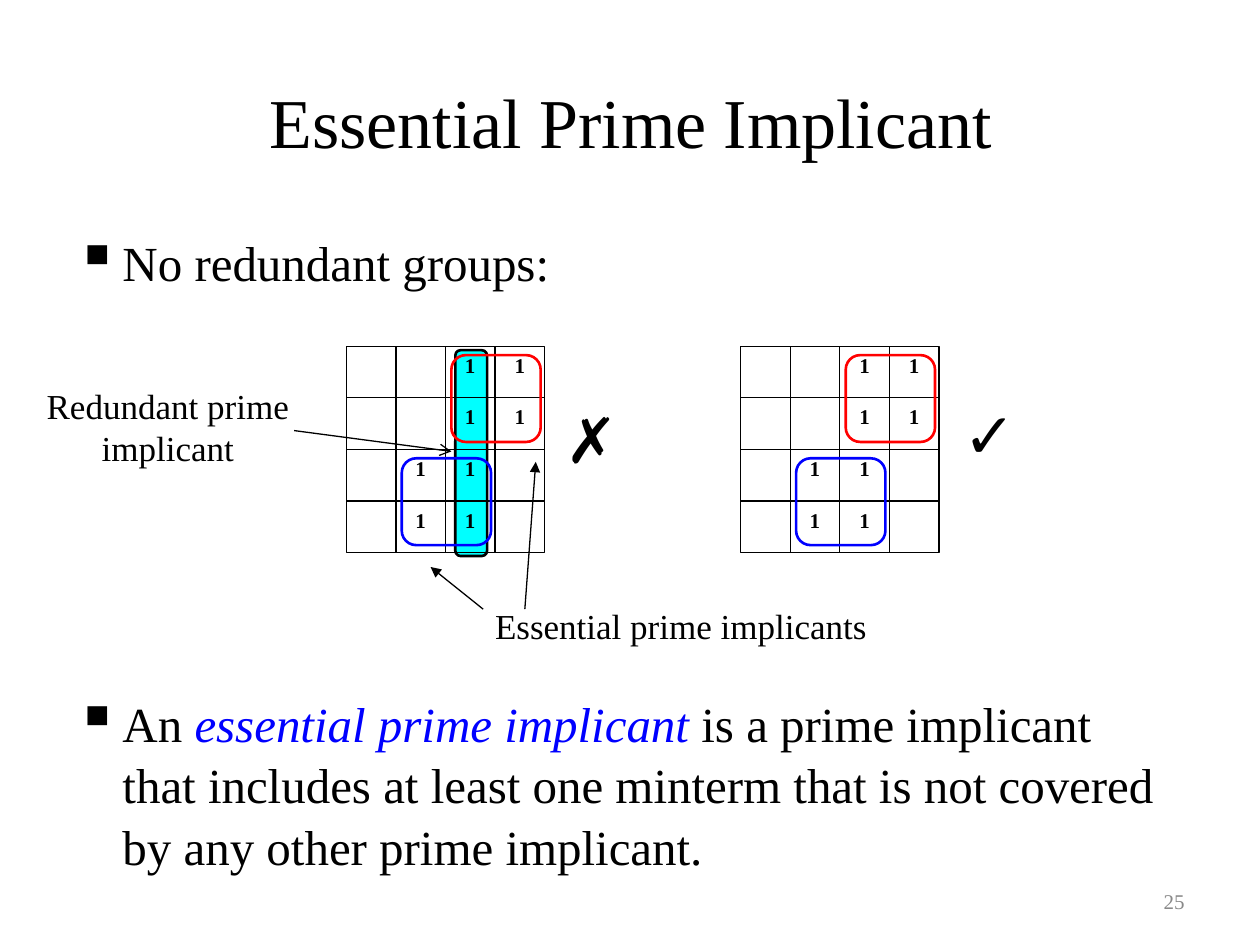
import pptx
from lxml import etree
from pptx.dml.color import RGBColor
from pptx.enum.shapes import MSO_CONNECTOR, MSO_SHAPE
from pptx.enum.text import MSO_ANCHOR, PP_ALIGN
from pptx.oxml.ns import qn
from pptx.util import Cm, Pt

BLACK = RGBColor(0, 0, 0)
BLUE = RGBColor(0, 0, 255)
RED = RGBColor(255, 0, 0)
CYAN = RGBColor(0, 255, 255)
GRAY = RGBColor(0x89, 0x89, 0x89)
SERIF = "Times New Roman"

# All lengths are in centimetres.
TITLE = "Essential Prime Implicant"
BULLETS = [  # space before in points, then (text, is key term) spans
    (0, [("No redundant groups:", False)]),
    (210, [("An ", False), ("essential prime implicant", True),
           (" is a prime implicant that includes at least one minterm "
            "that is not covered by any other prime implicant.", False)]),
]
KARNAUGH = ["0011", "0011", "0110", "0110"]
GROUPS = [(2, 0, RED), (1, 2, BLUE)]  # first column, first row, colour
MAPS = [  # left, mark, mark left, mark top, shows the redundant group
    (14.93, "✓", 19.18, 7.85, False),
    (6.98, "✗", 11.15, 7.95, True),
]
MAP_TOP, CELL_WIDTH, CELL_HEIGHT = 6.98, 1, 1.04
LABELS = [  # text, left, top, width, height, alignment
    ("Essential prime implicants", 9.73, 12.06, 9.32, 1.12, PP_ALIGN.LEFT),
    ("Redundant prime implicant", 0.42, 7.62, 5.93, 1.96, PP_ALIGN.CENTER),
]
ARROWS = [  # start x, start y, end x, end y, head
    (10.58, 12.28, 10.8, 9.31, "triangle"),
    (9.74, 12.28, 8.68, 11.43, "triangle"),
    (5.93, 8.68, 9.1, 9.1, "arrow"),
]


def place(shape, left, top, width, height):
    shape.left, shape.top = Cm(left), Cm(top)
    shape.width, shape.height = Cm(width), Cm(height)


def style(font, size, color=BLACK, name=SERIF):
    font.name, font.size, font.color.rgb = name, Pt(size), color


def add_text(shapes, text, area, size, align=PP_ALIGN.LEFT, color=BLACK,
             name=SERIF):
    box = shapes.add_textbox(*map(Cm, area))
    box.text_frame.word_wrap = True
    para = box.text_frame.paragraphs[0]
    para.text, para.alignment = text, align
    style(para.runs[0].font, size, color, name)
    return box


def add_outline(shapes, kind, area, color, weight, fill=None):
    shape = shapes.add_shape(kind, *map(Cm, area))
    shape.shadow.inherit = False
    if fill is None:
        shape.fill.background()
    else:
        shape.fill.solid()
        shape.fill.fore_color.rgb = fill
    shape.line.color.rgb, shape.line.width = color, Pt(weight)
    return shape


def add_line(shapes, start_x, start_y, end_x, end_y, head=None):
    line = shapes.add_connector(MSO_CONNECTOR.STRAIGHT, Cm(start_x),
                                Cm(start_y), Cm(end_x), Cm(end_y))
    line.line.color.rgb, line.line.width = BLACK, Pt(0.75)
    if head:
        etree.SubElement(line.line._get_or_add_ln(), qn("a:tailEnd"), type=head)
    etree.SubElement(line._element.spPr, qn("a:effectLst"))
    return line


def add_bullet(para):
    properties = para._p.get_or_add_pPr()
    properties.set("marL", str(Cm(0.95)))
    properties.set("indent", str(-Cm(0.95)))
    color = etree.SubElement(properties, qn("a:buClr"))
    etree.SubElement(color, qn("a:srgbClr"), val=str(BLACK))
    etree.SubElement(properties, qn("a:buSzPct"), val="120000")
    etree.SubElement(properties, qn("a:buChar"), char="▪")


def add_map(page, left, mark, mark_left, mark_top, redundant):
    shapes = page.shapes.add_group_shape().shapes
    count = len(KARNAUGH)
    width, height = count * CELL_WIDTH, count * CELL_HEIGHT
    if redundant:
        add_outline(shapes, MSO_SHAPE.ROUNDED_RECTANGLE,
                    (left + 2.2, MAP_TOP + 0.08, 0.64, 4.15), BLACK, 1.5, CYAN)
    frame = add_outline(shapes, MSO_SHAPE.RECTANGLE,
                        (left, MAP_TOP, width, height), BLACK, 0.75)
    for index in range(1, count):
        x, y = left + index * CELL_WIDTH, MAP_TOP + index * CELL_HEIGHT
        across = add_line(shapes, left, y, left + width, y)
        down = add_line(shapes, x, MAP_TOP, x, MAP_TOP + height)
        if index * 2 == count:
            across.begin_connect(frame, 1)
            across.end_connect(frame, 3)
            down.begin_connect(frame, 0)
            down.end_connect(frame, 2)
    for row, values in enumerate(KARNAUGH):
        for column, value in enumerate(values):
            if value == "1":
                area = (left + column * CELL_WIDTH, MAP_TOP + row * CELL_HEIGHT,
                        CELL_WIDTH, CELL_HEIGHT)
                box = add_text(shapes, value, area, 12, PP_ALIGN.CENTER)
                box.text_frame.paragraphs[0].runs[0].font.bold = True
    for column, row, color in GROUPS:
        area = (left + column * CELL_WIDTH + 0.12,
                MAP_TOP + row * CELL_HEIGHT + 0.18, 1.8, 1.75)
        add_outline(shapes, MSO_SHAPE.ROUNDED_RECTANGLE, area, color, 1.5)
    add_text(shapes, mark, (mark_left, mark_top, 2, 2.41), 36, name="Arial")


def main():
    deck = pptx.Presentation()
    deck.slide_width, deck.slide_height = Cm(25.4), Cm(19.05)
    page = deck.slides.add_slide(deck.slide_layouts[5])

    title = page.shapes.title
    place(title, 1.9, 0.84, 21.64, 3.18)
    title.text_frame.text = TITLE
    title.text_frame.vertical_anchor = MSO_ANCHOR.MIDDLE
    para = title.text_frame.paragraphs[0]
    para.alignment = PP_ALIGN.CENTER
    style(para.runs[0].font, 40)

    body = page.shapes.add_textbox(Cm(1.27), Cm(4.5), Cm(22.7), Cm(13.13))
    body.text_frame.word_wrap = True
    for index, (space_before, spans) in enumerate(BULLETS):
        para = (body.text_frame.add_paragraph() if index
                else body.text_frame.paragraphs[0])
        add_bullet(para)
        para.line_spacing = 1.05
        para.space_before, para.space_after = Pt(space_before), Pt(18)
        for text, is_term in spans:
            span = para.add_run()
            span.text = text
            style(span.font, 28, BLUE if is_term else BLACK)
            span.font.italic = is_term

    number = add_text(page.shapes, "25", (18.2, 17.66, 5.93, 1.01), 12,
                      PP_ALIGN.RIGHT, GRAY)
    number.text_frame.vertical_anchor = MSO_ANCHOR.MIDDLE

    for karnaugh_map in MAPS:
        add_map(page, *karnaugh_map)
    for arrow in ARROWS:
        add_line(page.shapes, *arrow)
    for text, left, top, width, height, align in LABELS:
        add_text(page.shapes, text, (left, top, width, height), 20, align)

    deck.save("out.pptx")


if __name__ == "__main__":
    main()
